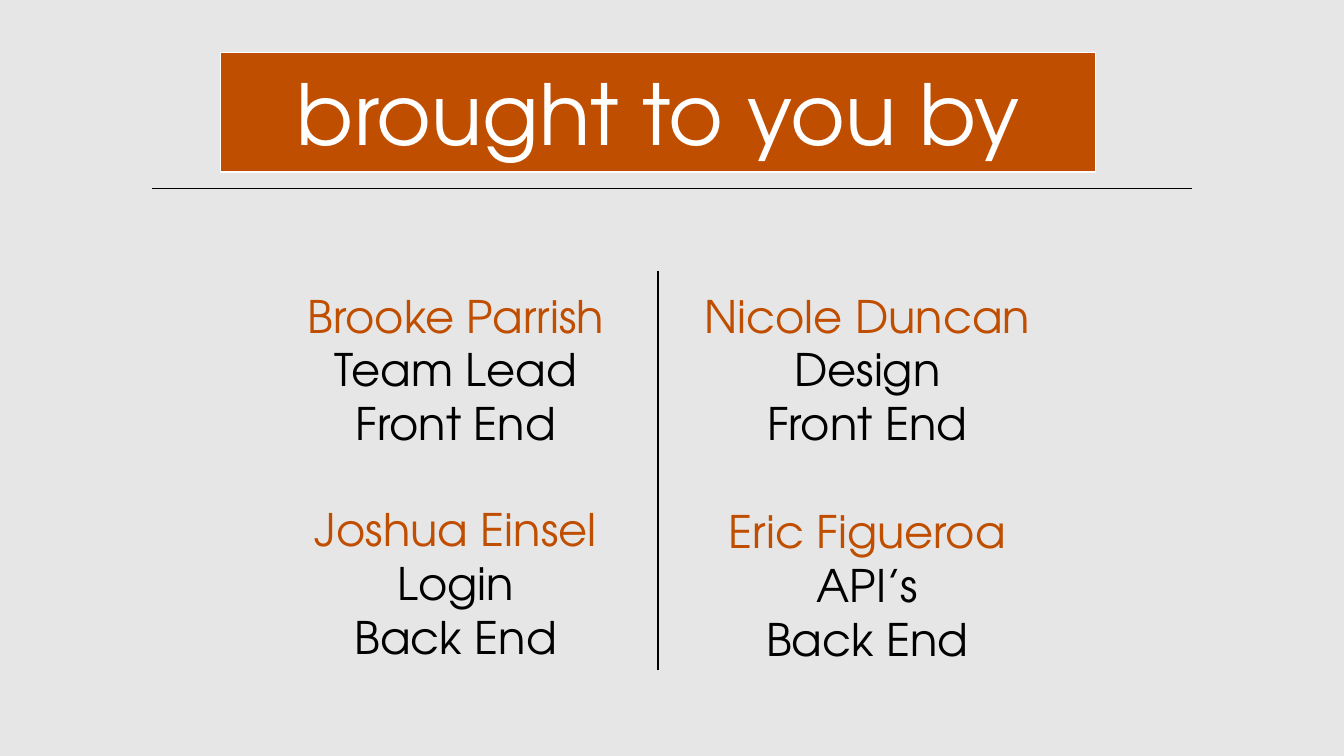
from lxml import etree
from pptx import Presentation
from pptx.dml.color import RGBColor
from pptx.enum.shapes import MSO_CONNECTOR
from pptx.enum.text import MSO_ANCHOR, MSO_AUTO_SIZE, PP_ALIGN
from pptx.oxml.ns import qn
from pptx.util import Cm, Pt

TITLE = "brought to you by"
LEFT_CENTER, RIGHT_CENTER = 11.49, 21.86
# column center, top, width (cm), name, roles
MEMBERS = [
    (LEFT_CENTER, 7.14, 8.46, "Brooke Parrish", ["Team Lead", "Front End"]),
    (RIGHT_CENTER, 7.14, 8.81, "Nicole Duncan", ["Design", "Front End"]),
    (LEFT_CENTER, 12.52, 7.85, "Joshua Einsel", ["Login", "Back End"]),
    (RIGHT_CENTER, 12.57, 7.85, "Eric Figueroa", ["API’s", "Back End"]),
]
# x1, y1, x2, y2 (cm), width (pt)
RULES = [(3.84, 4.75, 30.05, 4.75, 1), (16.59, 6.83, 16.59, 16.89, 1.25)]

FONT = "TeX Gyre Adventor"
ORANGE, BLACK, WHITE, GRAY = "C04E00", "000000", "FFFFFF", "E7E6E6"
MEMBER_HEIGHT = 4.37
TITLE_ONLY = 5
CENTER, MIDDLE = PP_ALIGN.CENTER, MSO_ANCHOR.MIDDLE
NO_FIT, GROW = MSO_AUTO_SIZE.NONE, MSO_AUTO_SIZE.SHAPE_TO_FIT_TEXT
STRAIGHT = MSO_CONNECTOR.STRAIGHT


def paint(color_format, color):
    color_format.rgb = RGBColor.from_string(color)


def fill_solid(fill, color):
    fill.solid()
    paint(fill.fore_color, color)


def write_lines(text_frame, lines, size):
    """Write one centred paragraph per (text, color) pair."""
    for index, (text, color) in enumerate(lines):
        paragraph = text_frame.add_paragraph() if index else text_frame.paragraphs[0]
        paragraph.alignment = CENTER
        run = paragraph.add_run()
        run.text = text
        run.font.name, run.font.size = FONT, Pt(size)
        paint(run.font.color, color)


def add_title(slide):
    title = slide.shapes.title
    title.left, title.top, title.width, title.height = Cm(5.56), Cm(1.32), Cm(22.05), Cm(3.02)
    fill_solid(title.fill, ORANGE)
    fill_solid(title.line.fill, WHITE)
    title.line.width = Pt(1)
    title.text_frame.auto_size = NO_FIT
    title.text_frame.vertical_anchor = MIDDLE
    write_lines(title.text_frame, [(TITLE, WHITE)], 60)


def add_member(slide, center, top, width, name, roles):
    box = slide.shapes.add_textbox(Cm(center - width / 2), Cm(top), Cm(width), Cm(MEMBER_HEIGHT))
    box.text_frame.word_wrap = True
    box.text_frame.auto_size = GROW
    write_lines(box.text_frame, [(name, ORANGE)] + [(role, BLACK) for role in roles], 32)


def add_rule(slide, x1, y1, x2, y2, width):
    rule = slide.shapes.add_connector(STRAIGHT, Cm(x1), Cm(y1), Cm(x2), Cm(y2))
    fill_solid(rule.line.fill, BLACK)
    rule.line.width = Pt(width)
    etree.SubElement(rule._element.spPr, qn("a:effectLst"))


def main():
    presentation = Presentation()
    presentation.slide_width, presentation.slide_height = Cm(33.87), Cm(19.05)
    slide = presentation.slides.add_slide(presentation.slide_layouts[TITLE_ONLY])
    fill_solid(slide.background.fill, GRAY)
    add_title(slide)
    for member in MEMBERS:
        add_member(slide, *member)
    for rule in RULES:
        add_rule(slide, *rule)
    presentation.save("out.pptx")


if __name__ == "__main__":
    main()
